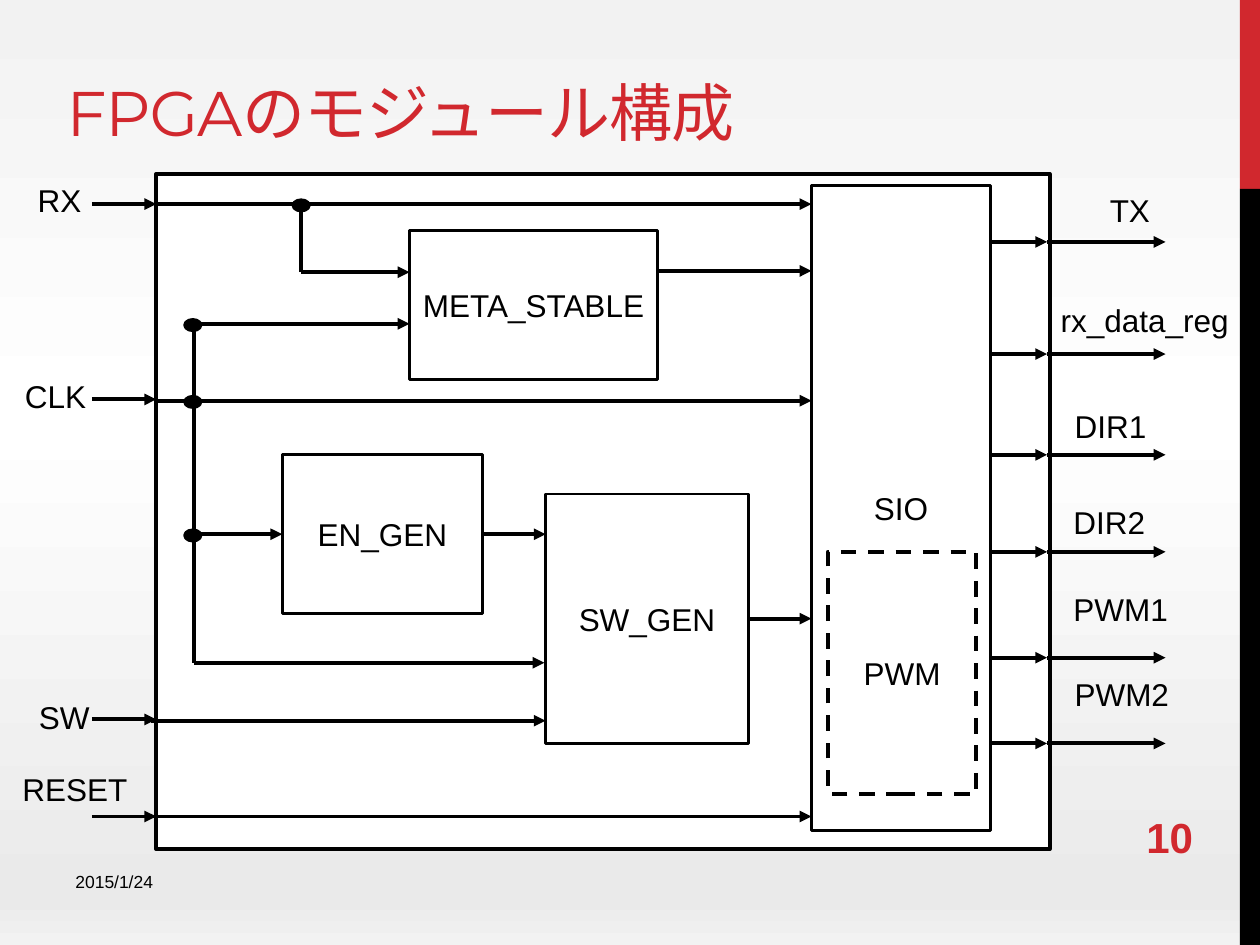
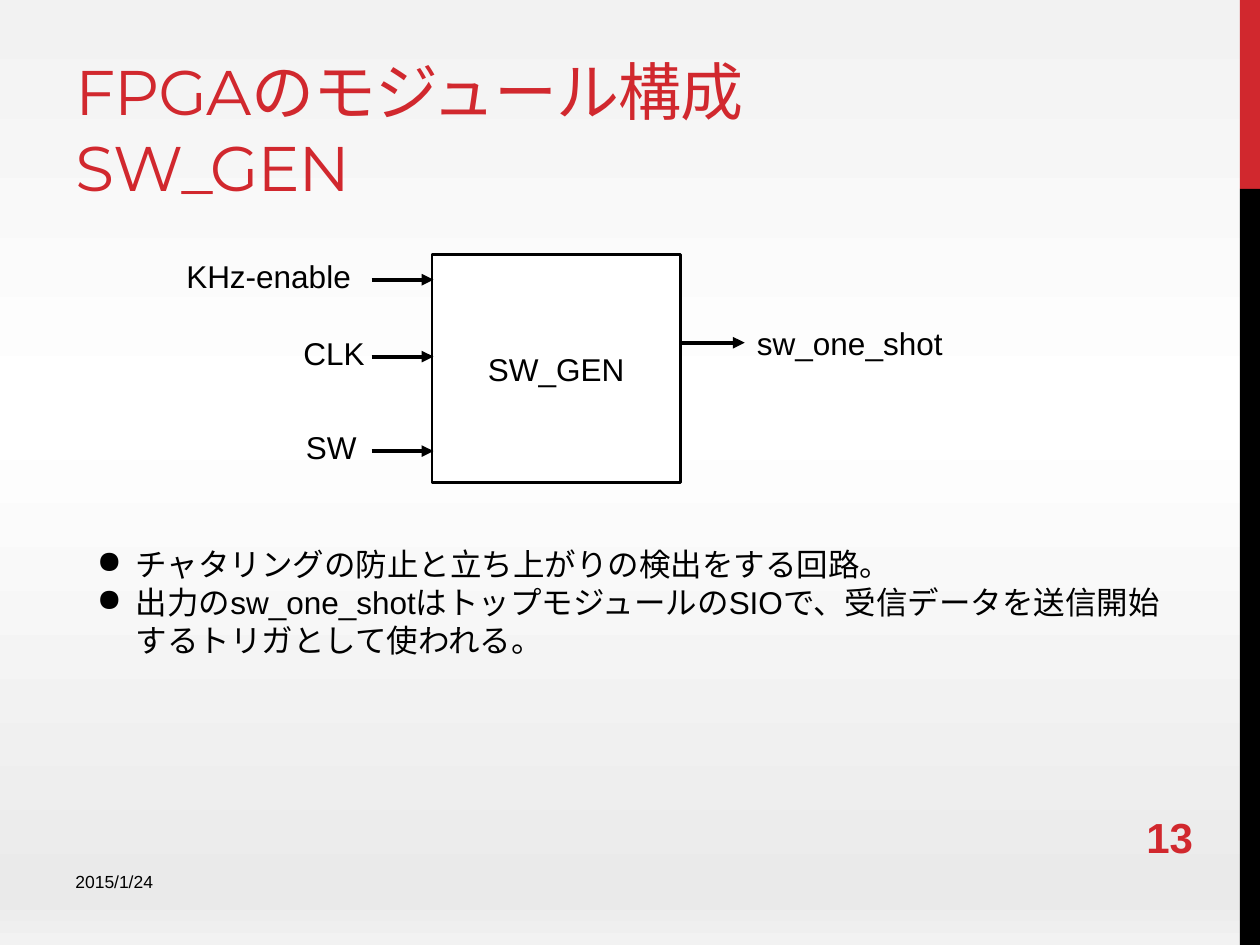
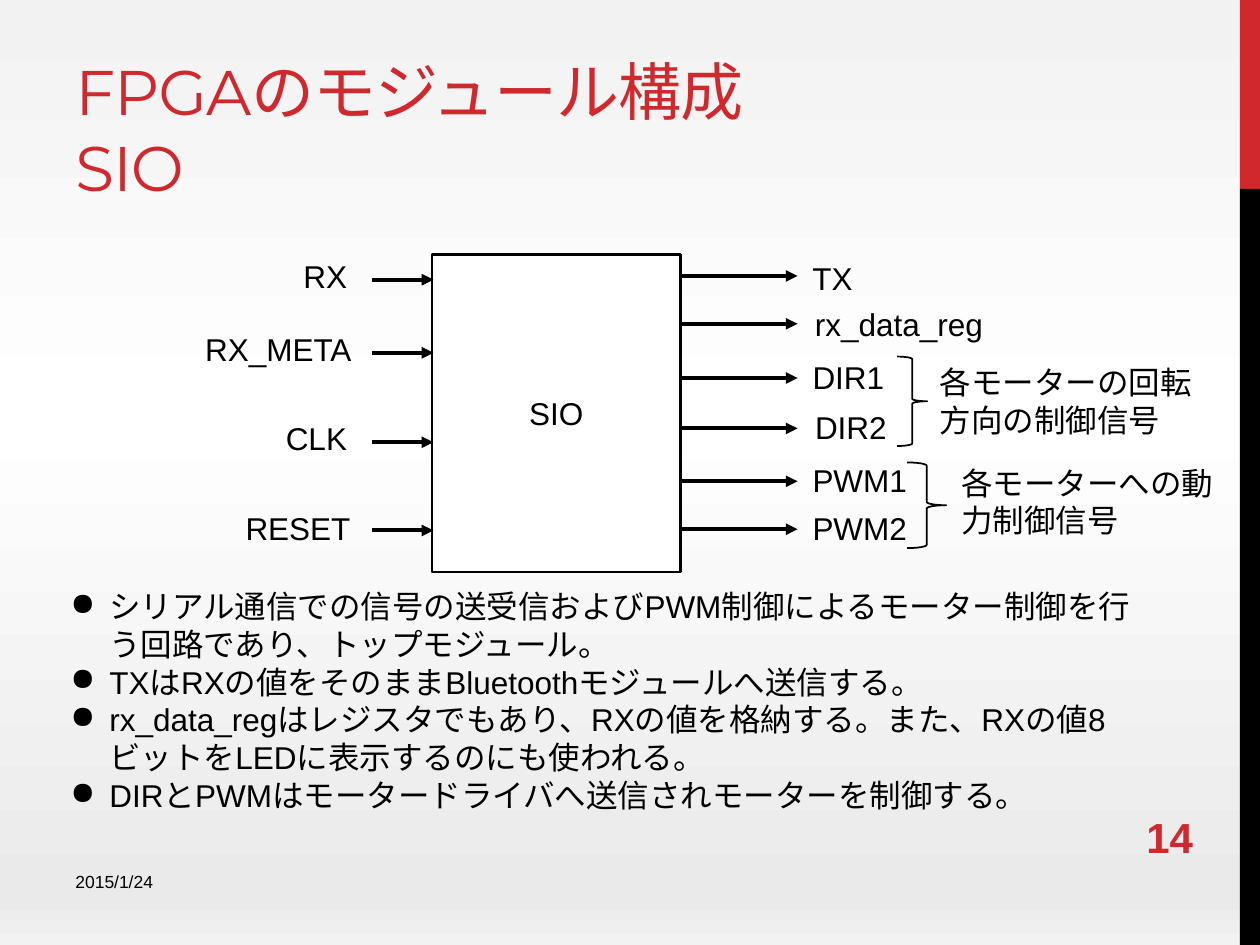
from dataclasses import dataclass

import lxml.etree
import pptx
import pptx.dml.color
import pptx.enum.dml
import pptx.enum.shapes
import pptx.enum.text
import pptx.oxml.ns
import pptx.presentation
import pptx.shapes.autoshape
import pptx.slide
import pptx.text.text
import pptx.util

Inches = pptx.util.Inches
Pt = pptx.util.Pt
qn = pptx.oxml.ns.qn
Preset = pptx.enum.shapes.MSO_SHAPE
Anchor = pptx.enum.text.MSO_ANCHOR

COLORS = {"red": "D1282E", "black": "000000", "white": "FFFFFF"}
BACKGROUND_STOPS = [(0, "F2F2F2"), (44, "FFFFFF"), (95, "EAEAEA"), (100, "F2F2F2")]
BODY_FONT = "Arial"
TITLE_FONT = "Montserrat"
TITLE = "FPGAのモジュール構成"
DATE = "2015/1/24"
WIRE_WIDTH = 2.25
BLOCK_WIDTH = 1.5


@dataclass
class Block:
    left: float
    top: float
    width: float
    height: float
    name: str = ""
    line: float = BLOCK_WIDTH
    dashed: bool = False


@dataclass
class Wire:
    x1: float
    y1: float
    x2: float
    y2: float
    arrow: bool = True


@dataclass
class Port:
    """A signal name whose box starts `rise` above its wire at height y."""
    name: str
    left: float
    width: float
    y: float
    rise: float = 0.2


@dataclass
class Brace:
    left: float
    top: float
    width: float
    height: float


@dataclass
class TextBox:
    left: float
    top: float
    width: float
    height: float


def color(name: str) -> pptx.dml.color.RGBColor:
    return pptx.dml.color.RGBColor.from_string(COLORS[name])


def add_run(paragraph: pptx.text.text._Paragraph, text: str, size: float = 18,
            font: str = BODY_FONT, ink: str = "black", bold: bool = False) -> pptx.text.text._Run:
    run = paragraph.add_run()
    run.text = text
    run.font.size = Pt(size)
    run.font.name = font
    run.font.bold = bold
    run.font.color.rgb = color(ink)
    return run


def add_frame(slide: pptx.slide.Slide, box: TextBox,
              anchor: Anchor = Anchor.TOP) -> pptx.text.text.TextFrame:
    textbox = slide.shapes.add_textbox(
        Inches(box.left), Inches(box.top), Inches(box.width), Inches(box.height))
    frame = textbox.text_frame
    frame.word_wrap = True
    frame.vertical_anchor = anchor
    return frame


def add_label(slide: pptx.slide.Slide, text: str, box: TextBox) -> None:
    add_run(add_frame(slide, box).paragraphs[0], text)


def add_bullets(slide: pptx.slide.Slide, items: list[str], box: TextBox) -> None:
    frame = add_frame(slide, box)
    for index, item in enumerate(items):
        paragraph = frame.add_paragraph() if index else frame.paragraphs[0]
        properties = paragraph._p.get_or_add_pPr()
        properties.set("marL", str(Inches(0.31)))
        properties.set("indent", str(Inches(-0.31)))
        lxml.etree.SubElement(properties, qn("a:buChar"), char="●")
        add_run(paragraph, item)


def add_shape(slide: pptx.slide.Slide, preset: Preset, box: Block | Brace | TextBox,
              fill: str | None, line: float | None) -> pptx.shapes.autoshape.Shape:
    shape = slide.shapes.add_shape(
        preset, Inches(box.left), Inches(box.top), Inches(box.width), Inches(box.height))
    shape.shadow.inherit = False
    if fill:
        shape.fill.solid()
        shape.fill.fore_color.rgb = color(fill)
    else:
        shape.fill.background()
    if line:
        shape.line.color.rgb = color("black")
        shape.line.width = Pt(line)
    else:
        shape.line.fill.background()
    return shape


def add_block(slide: pptx.slide.Slide, block: Block) -> None:
    shape = add_shape(slide, Preset.RECTANGLE, block, "white", block.line)
    if block.dashed:
        shape.line.dash_style = pptx.enum.dml.MSO_LINE.DASH
    if block.name:
        shape.text_frame.vertical_anchor = Anchor.MIDDLE
        paragraph = shape.text_frame.paragraphs[0]
        paragraph.alignment = pptx.enum.text.PP_ALIGN.CENTER
        add_run(paragraph, block.name)


def add_wire(slide: pptx.slide.Slide, wire: Wire) -> None:
    connector = slide.shapes.add_connector(
        pptx.enum.shapes.MSO_CONNECTOR.STRAIGHT,
        Inches(wire.x1), Inches(wire.y1), Inches(wire.x2), Inches(wire.y2))
    connector.line.color.rgb = color("black")
    connector.line.width = Pt(WIRE_WIDTH)
    properties = connector._element.spPr
    if wire.arrow:
        lxml.etree.SubElement(properties.find(qn("a:ln")), qn("a:tailEnd"), type="triangle")
    lxml.etree.SubElement(properties, qn("a:effectLst"))


def add_ports(slide: pptx.slide.Slide, ports: list[Port], start: float, end: float) -> None:
    for port in ports:
        add_wire(slide, Wire(start, port.y, end, port.y))
        add_label(slide, port.name, TextBox(port.left, port.y - port.rise, port.width, 0.4))


def set_background(presentation: pptx.presentation.Presentation) -> None:
    """Give the slide master the vertical gradient that every slide inherits."""
    master = presentation.slide_master
    fill = master.background.fill
    fill.gradient()
    fill.gradient_angle = 270
    stops = master.element.find(".//" + qn("a:gsLst"))
    for stop in list(stops):
        stops.remove(stop)
    for percent, value in BACKGROUND_STOPS:
        stop = lxml.etree.SubElement(stops, qn("a:gs"), pos=str(percent * 1000))
        lxml.etree.SubElement(stop, qn("a:srgbClr"), val=value)


def add_slide(presentation: pptx.presentation.Presentation, number: int, title_box: TextBox,
              subtitle: str = "") -> pptx.slide.Slide:
    """Add a slide with the side bands, title, date and page number."""
    slide = presentation.slides.add_slide(presentation.slide_layouts[6])
    add_shape(slide, Preset.RECTANGLE, TextBox(9.84, 0, 0.16, 1.5), "red", None)
    add_shape(slide, Preset.RECTANGLE, TextBox(9.84, 1.5, 0.16, 6), "black", None)

    paragraph = add_frame(slide, title_box, Anchor.BOTTOM).paragraphs[0]
    for index, text in enumerate(filter(None, [TITLE, subtitle])):
        if index:
            paragraph.add_line_break()
        run = add_run(paragraph, text, 36, TITLE_FONT, "red")
        run.font._element.set("spc", "-60")

    date = add_frame(slide, TextBox(0.5, 6.75, 3.75, 0.33), Anchor.BOTTOM)
    date.margin_bottom = 0
    add_run(date.paragraphs[0], DATE, 10)
    page = add_frame(slide, TextBox(9, 6.44, 1.44, 0.4), Anchor.MIDDLE)
    add_run(page.paragraphs[0], str(number), 24, ink="red", bold=True)
    return slide


def build_overview(presentation: pptx.presentation.Presentation) -> None:
    slide = add_slide(presentation, 10, TextBox(0.43, -0.27, 6.33, 1.5))
    blocks = [
        Block(1.24, 1.38, 7.09, 5.36, line=2.25),
        Block(6.44, 1.47, 1.42, 5.12, "SIO"),
        Block(3.25, 1.83, 1.97, 1.18, "META_STABLE"),
        Block(2.24, 3.61, 1.59, 1.26, "EN_GEN"),
        Block(4.33, 3.92, 1.61, 1.98, "SW_GEN"),
        Block(6.57, 4.38, 1.18, 1.92, "PWM", 2.25, True),
    ]
    for block in blocks:
        add_block(slide, block)

    inputs = [
        Port("RX", 0.2, 0.71, 1.62, 0.23),
        Port("CLK", 0.1, 1.1, 3.17, 0.23),
        Port("SW", 0.21, 0.71, 5.71, 0.22),
        Port("RESET", 0.08, 1.1, 6.48, 0.42),
    ]
    add_ports(slide, inputs, 0.73, 1.24)
    outputs = [
        Port("TX", 8.71, 0.77, 1.92, 0.45),
        Port("rx_data_reg", 8.32, 1.68, 2.81, 0.47),
        Port("DIR1", 8.43, 0.82, 3.61, 0.43),
        Port("DIR2", 8.42, 0.82, 4.38, 0.44),
        Port("PWM1", 8.42, 1.05, 5.22, 0.59),
        Port("PWM2", 8.43, 1.05, 5.9, 0.59),
    ]
    add_ports(slide, outputs, 8.31, 9.25)

    clock_x, rx_x = 1.54, 2.39
    wires = [Wire(7.86, port.y, 8.31, port.y) for port in outputs] + [
        Wire(1.22, 1.62, 6.44, 1.62),
        Wire(rx_x, 2.16, rx_x, 1.64, False),
        Wire(rx_x, 2.16, 3.25, 2.16),
        Wire(5.22, 2.15, 6.44, 2.15),
        Wire(clock_x, 5.26, clock_x, 2.57, False),
        Wire(clock_x, 2.57, 3.25, 2.57),
        Wire(1.24, 3.18, 6.44, 3.18),
        Wire(clock_x, 4.24, 2.24, 4.24),
        Wire(clock_x, 5.26, 4.32, 5.26),
        Wire(3.83, 4.24, 4.33, 4.24),
        Wire(5.94, 4.91, 6.44, 4.91),
        Wire(1.2, 5.72, 4.33, 5.72),
        Wire(1.19, 6.48, 6.44, 6.48),
    ]
    for wire in wires:
        add_wire(slide, wire)
    for left, top in [(2.33, 1.59), (1.47, 2.54), (1.47, 3.15), (1.47, 4.21)]:
        add_shape(slide, Preset.OVAL, TextBox(left, top, 0.12, 0.08), "black", WIRE_WIDTH)


def build_module(presentation: pptx.presentation.Presentation, number: int, block: Block,
                 inputs: list[Port], outputs: list[Port], output_end: float,
                 notes: list[str], notes_box: TextBox) -> pptx.slide.Slide:
    """Add a slide with one module, its ports and the bullets that explain it."""
    slide = add_slide(presentation, number, TextBox(0.5, 0.17, 6.33, 1.5), block.name)
    add_block(slide, block)
    add_ports(slide, inputs, 2.95, 3.44)
    add_ports(slide, outputs, 5.39, output_end)
    add_bullets(slide, notes, notes_box)
    return slide


def build_sw_gen(presentation: pptx.presentation.Presentation) -> None:
    inputs = [
        Port("KHz-enable", 1.38, 2.02, 2.22, 0.23),
        Port("CLK", 2.31, 1.1, 2.83, 0.23),
        Port("SW", 2.33, 1.1, 3.58, 0.23),
    ]
    notes = [
        "チャタリングの防止と立ち上がりの検出をする回路。",
        "出力のsw_one_shotはトップモジュールのSIOで、受信データを送信開始するトリガとして使われる。",
    ]
    build_module(presentation, 13, Block(3.43, 2.02, 1.97, 1.81, "SW_GEN"), inputs,
                 [Port("sw_one_shot", 5.91, 2.8, 2.72)], 5.91,
                 notes, TextBox(0.67, 4.28, 8.66, 1.01))


def build_sio(presentation: pptx.presentation.Presentation) -> None:
    inputs = [
        Port("RX", 2.31, 1.08, 2.22, 0.23),
        Port("RX_META", 1.53, 1.66, 2.8, 0.23),
        Port("CLK", 2.17, 1.1, 3.51, 0.23),
        Port("RESET", 1.85, 1.29, 4.21, 0.22),
    ]
    outputs = [
        Port("TX", 6.35, 0.77, 2.19, 0.18),
        Port("rx_data_reg", 6.37, 3.2, 2.57),
        Port("DIR1", 6.35, 0.82, 3, 0.21),
        Port("DIR2", 6.37, 0.82, 3.4, 0.21),
        Port("PWM1", 6.35, 1.01, 3.82, 0.21),
        Port("PWM2", 6.35, 1.01, 4.2, 0.21),
    ]
    notes = [
        "シリアル通信での信号の送受信およびPWM制御によるモーター制御を行う回路であり、トップモジュール。",
        "TXはRXの値をそのままBluetoothモジュールへ送信する。",
        "rx_data_regはレジスタでもあり、RXの値を格納する。また、RXの値8ビットをLEDに表示するのにも使われる。",
        "DIRとPWMはモータードライバへ送信されモーターを制御する。",
    ]
    slide = build_module(presentation, 14, Block(3.43, 2.02, 1.97, 2.52, "SIO"), inputs,
                         outputs, 6.33, notes, TextBox(0.46, 4.61, 8.66, 2.22))
    groups = [
        (Brace(7.12, 2.83, 0.24, 0.71), "各モーターの回転方向の制御信号", TextBox(7.36, 2.83, 2.2, 0.71)),
        (Brace(7.2, 3.67, 0.31, 0.68), "各モーターへの動力制御信号", TextBox(7.53, 3.63, 2.2, 0.71)),
    ]
    for brace, text, box in groups:
        add_shape(slide, Preset.RIGHT_BRACE, brace, None, 1)
        add_label(slide, text, box)


def main() -> None:
    presentation = pptx.Presentation()
    presentation.slide_width = Inches(10)
    presentation.slide_height = Inches(7.5)
    set_background(presentation)
    build_overview(presentation)
    build_sw_gen(presentation)
    build_sio(presentation)
    presentation.save("out.pptx")


if __name__ == "__main__":
    main()
